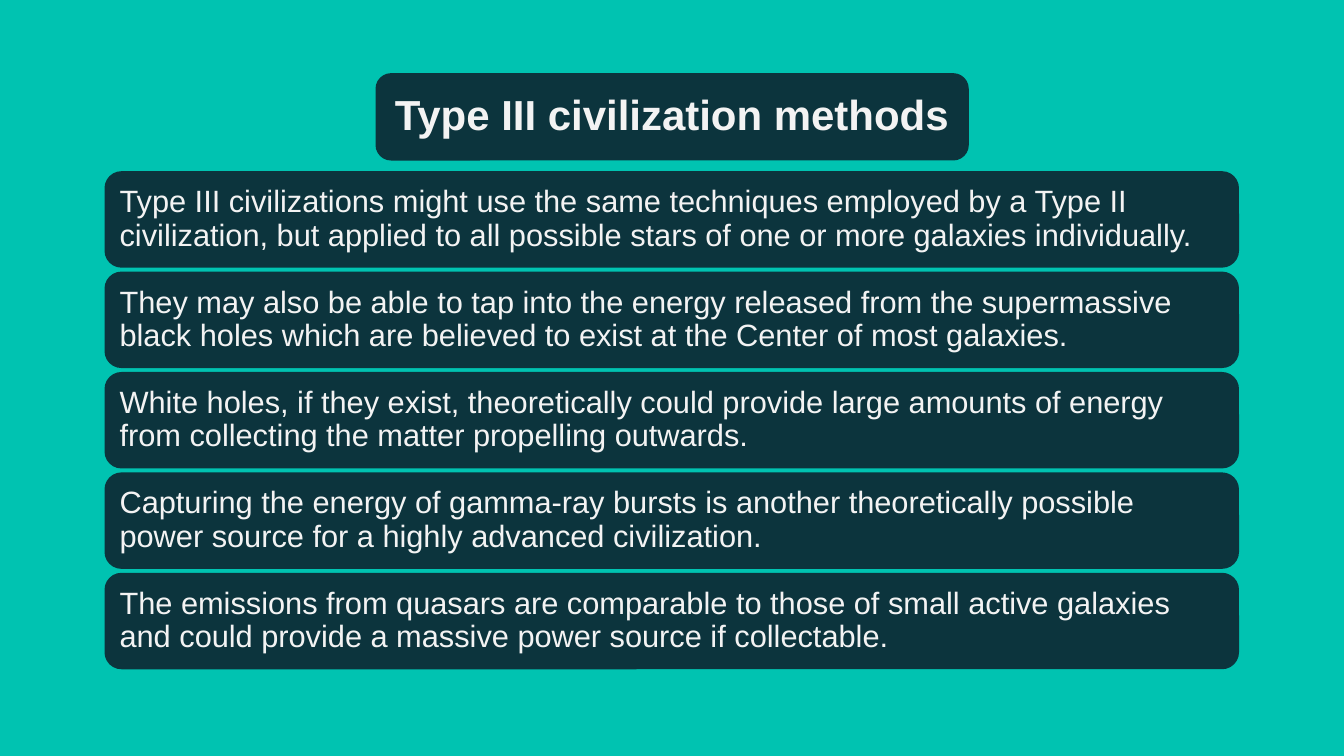
import pptx
import pptx.util
import pptx.dml.color
import pptx.enum.shapes
import pptx.enum.text

Cm, Pt = pptx.util.Cm, pptx.util.Pt
Align = pptx.enum.text.PP_ALIGN

METHODS = [
    "Type III civilizations might use the same techniques employed by a Type II "
    "civilization, but applied to all possible stars of one or more galaxies individually.",
    "They may also be able to tap into the energy released from the supermassive "
    "black holes which are believed to exist at the Center of most galaxies.",
    "White holes, if they exist, theoretically could provide large amounts of energy "
    "from collecting the matter propelling outwards.",
    "Capturing the energy of gamma-ray bursts is another theoretically possible "
    "power source for a highly advanced civilization.",
    "The emissions from quasars are comparable to those of small active galaxies "
    "and could provide a massive power source if collectable.",
]


def color(hexa):
    return pptx.dml.color.RGBColor.from_string(hexa)


class Deck:
    font = "Arial"
    back = "00C3B1"
    dark = "0C343D"
    light = "F3F3F3"

    def __init__(self, slide):
        self.slide = slide
        fill = slide.background.fill
        fill.solid()
        fill.fore_color.rgb = color(self.back)

    def panel(self, text, left, top, width, height, size, pad,
              bold=False, align=Align.LEFT):
        """Add a rounded dark box with its text; lengths and pad (x, y) in cm."""
        box = self.slide.shapes.add_shape(
            pptx.enum.shapes.MSO_SHAPE.ROUNDED_RECTANGLE,
            Cm(left), Cm(top), Cm(width), Cm(height))
        box.shadow.inherit = False
        box.fill.solid()
        box.fill.fore_color.rgb = color(self.dark)
        box.line.color.rgb = color(self.dark)
        box.line.width = Pt(2)

        frame = box.text_frame
        frame.word_wrap = True
        frame.vertical_anchor = pptx.enum.text.MSO_ANCHOR.MIDDLE
        frame.margin_left = frame.margin_right = Cm(pad[0])
        frame.margin_top = frame.margin_bottom = Cm(pad[1])
        para = frame.paragraphs[0]
        para.text = text
        para.alignment = align
        para.line_spacing = 0.9
        para.font.name = self.font
        para.font.size = Pt(size)
        para.font.bold = bold
        para.font.color.rgb = color(self.light)


def main():
    prs = pptx.Presentation()
    prs.slide_width, prs.slide_height = Cm(33.87), Cm(19.05)
    deck = Deck(prs.slides.add_slide(prs.slide_layouts[6]))

    top, height, gap = 4.35, 2.36, 0.17
    for i, text in enumerate(METHODS):
        deck.panel(text, 2.67, top + i * (height + gap), 28.52, height,
                   22, (0.23, 0.23))
    deck.panel("Type III civilization methods", 9.5, 1.88, 14.88, 2.13,
               30, (0.28, 0.15), bold=True, align=Align.CENTER)
    prs.save("out.pptx")


if __name__ == "__main__":
    main()
